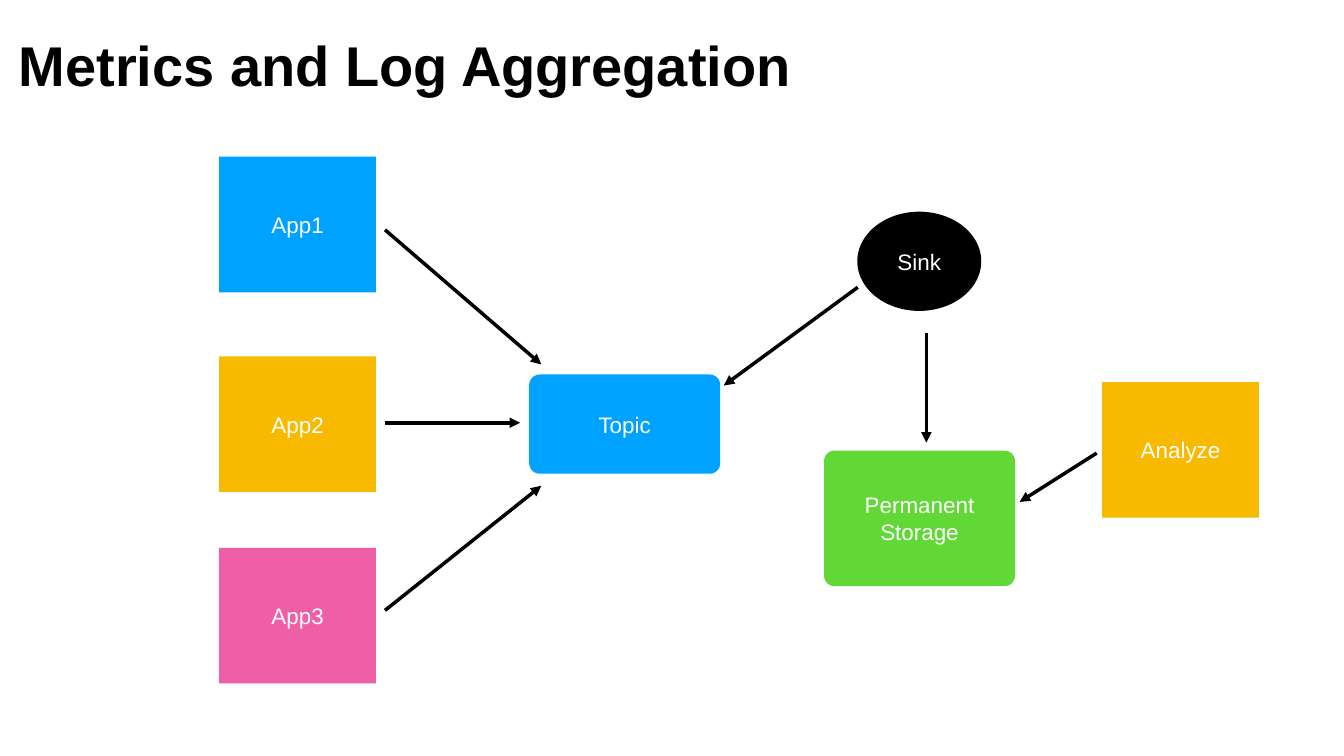
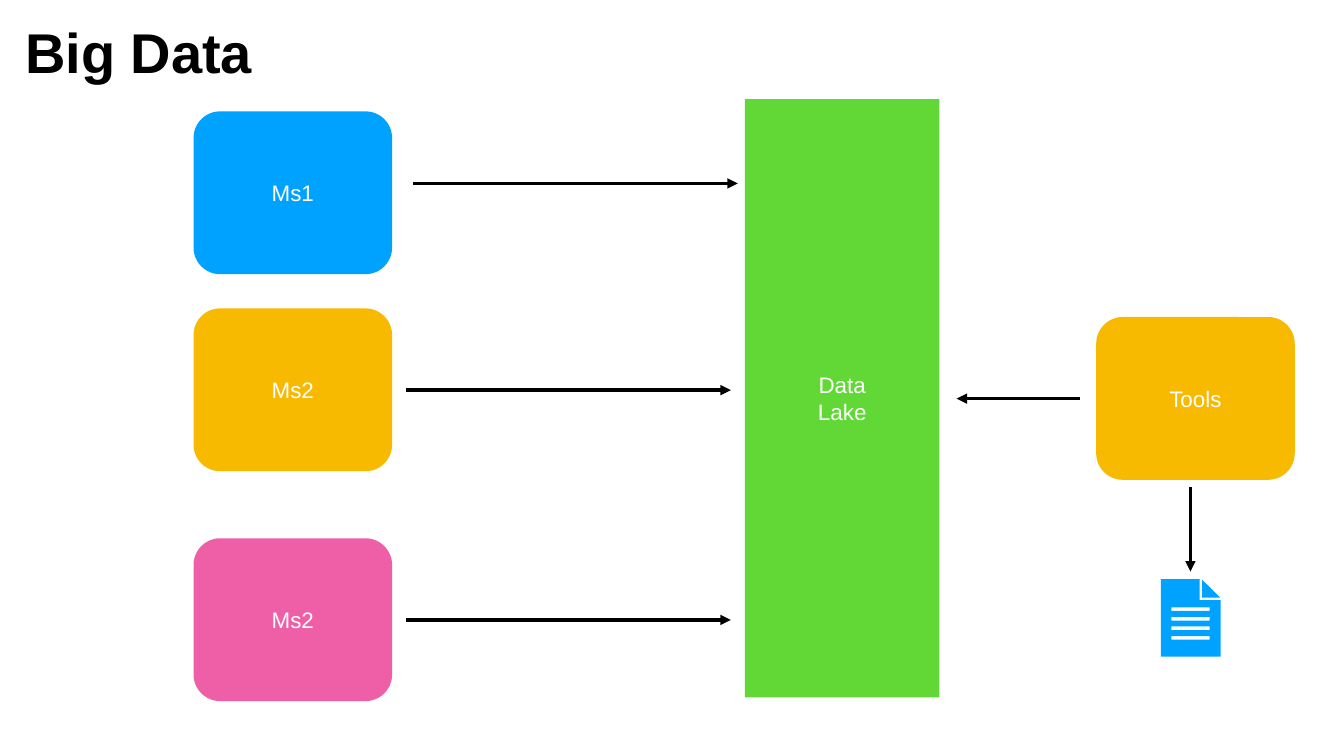
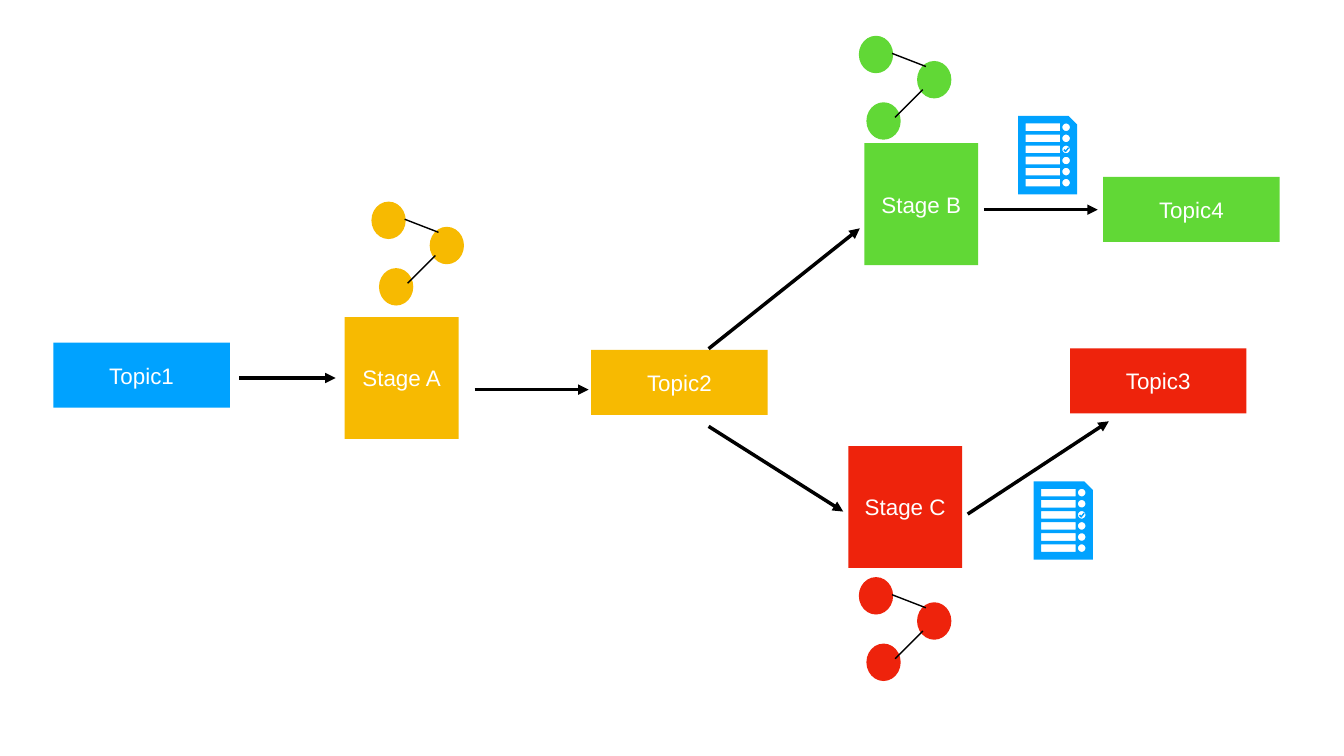
from math import cos, pi, sin

from lxml.etree import SubElement
from pptx import Presentation
from pptx.dml.color import RGBColor
from pptx.enum.shapes import MSO_CONNECTOR, MSO_SHAPE as Shape
from pptx.enum.text import MSO_ANCHOR, MSO_AUTO_SIZE, PP_ALIGN
from pptx.oxml.ns import qn
from pptx.util import Pt

COLORS = {
    "blue": "00A2FF", "gold": "F7BA01", "pink": "EF5FA7", "green": "61D836",
    "red": "EE230C", "black": "000000", "white": "FFFFFF",
}
FONT = "Arial"
RECT, ROUND, OVAL = Shape.RECTANGLE, Shape.ROUNDED_RECTANGLE, Shape.OVAL

# Box: text, color, (left, top), (width, height), shape, corner radius
APP, NODE = (224, 193.7), (283.7, 232.6)
TOPIC, STAGE = (252, 92.9), (162.7, 174.2)
CORNER = 38

LOGS = {
    "title": ("Metrics and Log Aggregation", 19.4, 39.6, 1118.9),
    "boxes": [
        ("App1", "blue", (313.2, 223.9), APP, RECT, 0),
        ("App2", "gold", (313.2, 509), APP, RECT, 0),
        ("App3", "pink", (313.2, 782.6), APP, RECT, 0),
        ("Topic", "blue", (756, 535), (272.9, 141.8), ROUND, 15),
        ("Sink", "black", (1224.7, 302.4), (177.1, 141.8), OVAL, 0),
        ("Permanent Storage", "green", (1177.2, 643.7), (272.9, 193.7), ROUND, 15),
        ("Analyze", "gold", (1574.6, 545.8), APP, RECT, 0),
    ],
    "arrows": [
        ((550, 872), (773.3, 694)),
        ((550, 328.3), (773.3, 520.6)),
        ((550, 604), (743, 604)),
        ((1225.4, 410.4), (1034, 550.8)),
        ((1566.7, 647.3), (1456.6, 717.1)),
        ((1323.4, 475.2), (1323.4, 632.2)),
    ],
}
DATA = {
    "title": ("Big Data", 30.2, 20.9, 336.2),
    "boxes": [
        ("Ms1", "blue", (276.5, 159.1), NODE, ROUND, CORNER),
        ("Ms2", "gold", (276.5, 440.6), NODE, ROUND, CORNER),
        ("Ms2", "pink", (276.5, 769), NODE, ROUND, CORNER),
        ("Data\nLake", "green", (1064.2, 141.8), (277.9, 854.6), RECT, 0),
        ("Tools", "gold", (1566, 452.9), NODE, ROUND, CORNER),
    ],
    "arrows": [
        ((580.3, 885.6), (1044, 885.6)),
        ((580.3, 557.3), (1044, 557.3)),
        ((589.7, 262.1), (1054, 262.1)),
        ((1542.2, 569.5), (1366.6, 569.5)),
        ((1700.6, 696.2), (1700.6, 816.5)),
    ],
}
FLOW = {
    "boxes": [
        ("Topic1", "blue", (76.3, 489.6), TOPIC, RECT, 0),
        ("Stage A", "gold", (492.5, 452.9), STAGE, RECT, 0),
        ("Topic2", "gold", (844.6, 499.7), TOPIC, RECT, 0),
        ("Stage B", "green", (1234.8, 204.5), STAGE, RECT, 0),
        ("Stage C", "red", (1211.8, 637.2), STAGE, RECT, 0),
        ("Topic3", "red", (1528.6, 497.5), TOPIC, RECT, 0),
        ("Topic4", "green", (1576.1, 252.7), TOPIC, RECT, 0),
    ],
    "arrows": [
        ((342, 540), (479.5, 540)),
        ((1012.3, 609.1), (1204.6, 730.8)),
        ((678.2, 556.6), (841, 556.6)),
        ((1012.3, 498.2), (1228.3, 326.2)),
        ((1382.4, 734.4), (1584, 601.9)),
        ((1405.4, 299.5), (1568.2, 299.5)),
    ],
}
GRAPHS = [("gold", (530.6, 288)), ("red", (1226.9, 824.4)), ("green", (1226.9, 51.1))]
DOTS = [(0, 0), (83.2, 36), (10.8, 95)]
EDGES = [((51.8, 116.6), (91.4, 77)), ((47.5, 25.2), (95.8, 43.9))]

PAGE_AT = (1658.2, 827.3)
LISTS_AT = [(1476.7, 687.6), (1454.4, 165.6)]
TICK = [(2.9, -3.2), (-0.7, 1.2), (-2.2, -0.4), (-3.9, 1.2),
        (-1.1, 4), (-0.4, 4), (4.3, -1.8)]


def rgb(name):
    return RGBColor.from_string(COLORS[name])


def shift(points, at):
    return [(x + at[0], y + at[1]) for x, y in points]


def style(frame, size, color, bold=False):
    frame.vertical_anchor = MSO_ANCHOR.MIDDLE
    for para in frame.paragraphs:
        para.alignment = PP_ALIGN.CENTER
        for run in para.runs:
            font = run.font
            font.name, font.size, font.bold = FONT, Pt(size), bold
            font.color.rgb = rgb(color)


def inset(frame, gap):
    frame.margin_left = frame.margin_right = Pt(gap)
    frame.margin_top = frame.margin_bottom = Pt(gap)


def paint(shape, color):
    shape.shadow.inherit = False
    shape.fill.solid()
    shape.fill.fore_color.rgb = rgb(color)
    shape.line.fill.background()


def add_title(slide, text, left, top, width):
    title = slide.shapes.title
    title.left, title.top = Pt(left), Pt(top)
    title.width, title.height = Pt(width), Pt(103)
    frame = title.text_frame
    frame.text = text
    frame.word_wrap = False
    frame.auto_size = MSO_AUTO_SIZE.SHAPE_TO_FIT_TEXT
    inset(frame, 4)
    style(frame, 80, "black", True)


def add_box(slide, text, color, at, size, kind, radius=0):
    box = slide.shapes.add_shape(kind, *map(Pt, at + size))
    paint(box, color)
    if radius:
        box.adjustments[0] = radius / min(size)
    if text:
        frame = box.text_frame
        frame.text = text
        frame.word_wrap = True
        inset(frame, 0)
        style(frame, 32, "white")


def add_line(slide, start, end, width=5, head=True):
    line = slide.shapes.add_connector(
        MSO_CONNECTOR.STRAIGHT, *map(Pt, start + end))
    line.line.color.rgb = rgb("black")
    line.line.width = Pt(width)
    props = line._element.spPr
    if head:
        SubElement(props.find(qn("a:ln")), qn("a:tailEnd"), type="triangle")
    SubElement(props, qn("a:effectLst"))


def add_icon(slide, at, loops):
    """Draw closed loops as one shape; inner loops become holes."""
    loops = [[(Pt(x), Pt(y)) for x, y in shift(loop, at)] for loop in loops]
    pen = slide.shapes.build_freeform(*loops[0][0])
    pen.add_line_segments(loops[0][1:])
    for loop in loops[1:]:
        pen.move_to(*loop[0])
        pen.add_line_segments(loop[1:])
    paint(pen.convert_to_shape(), "blue")


def bar(left, top, right, height):
    return [(left, top), (right, top), (right, top + height), (left, top + height)]


def ring(x, y, radius, count=24):
    turns = [2 * pi * i / count for i in range(count)]
    return [(x + radius * cos(t), y + radius * sin(t)) for t in turns]


def page_loops():
    sheet = [(0, 0), (0, 110.9), (85.7, 110.9), (85.7, 30.2), (55.4, 30.2), (55.4, 0)]
    fold = [(59, 0.7), (59, 26.6), (85, 26.6)]
    return [sheet, fold] + [bar(15.1, 40.3 + 13.7 * i, 69.8, 5.2) for i in range(4)]


def list_loops():
    loops = [[(0, 0), (0, 112), (84.4, 112), (84.4, 12.2), (72, 0)]]
    for row in range(6):
        top = 10.8 + 15.84 * row
        mid = (68.6, top + 5.4)
        loops += [bar(10.8, top, 60, 10.8), ring(*mid, 5.4)]
        if row == 2:
            loops.append(shift(TICK, mid))
    return loops


def add_graph(slide, color, at):
    for dot in shift(DOTS, at):
        add_box(slide, "", color, dot, (49, 53.5), OVAL)
    for edge in EDGES:
        add_line(slide, *shift(edge, at), width=2, head=False)


def add_slide(deck, plan):
    titled = "title" in plan
    slide = deck.slides.add_slide(deck.slide_layouts[5 if titled else 6])
    if titled:
        add_title(slide, *plan["title"])
    for box in plan["boxes"]:
        add_box(slide, *box)
    for arrow in plan["arrows"]:
        add_line(slide, *arrow)
    return slide


def main():
    deck = Presentation()
    deck.slide_width, deck.slide_height = Pt(1920), Pt(1080)
    add_slide(deck, LOGS)
    data = add_slide(deck, DATA)
    add_icon(data, PAGE_AT, page_loops())
    flow = add_slide(deck, FLOW)
    for color, at in GRAPHS:
        add_graph(flow, color, at)
    for at in LISTS_AT:
        add_icon(flow, at, list_loops())
    deck.save("out.pptx")


if __name__ == "__main__":
    main()
